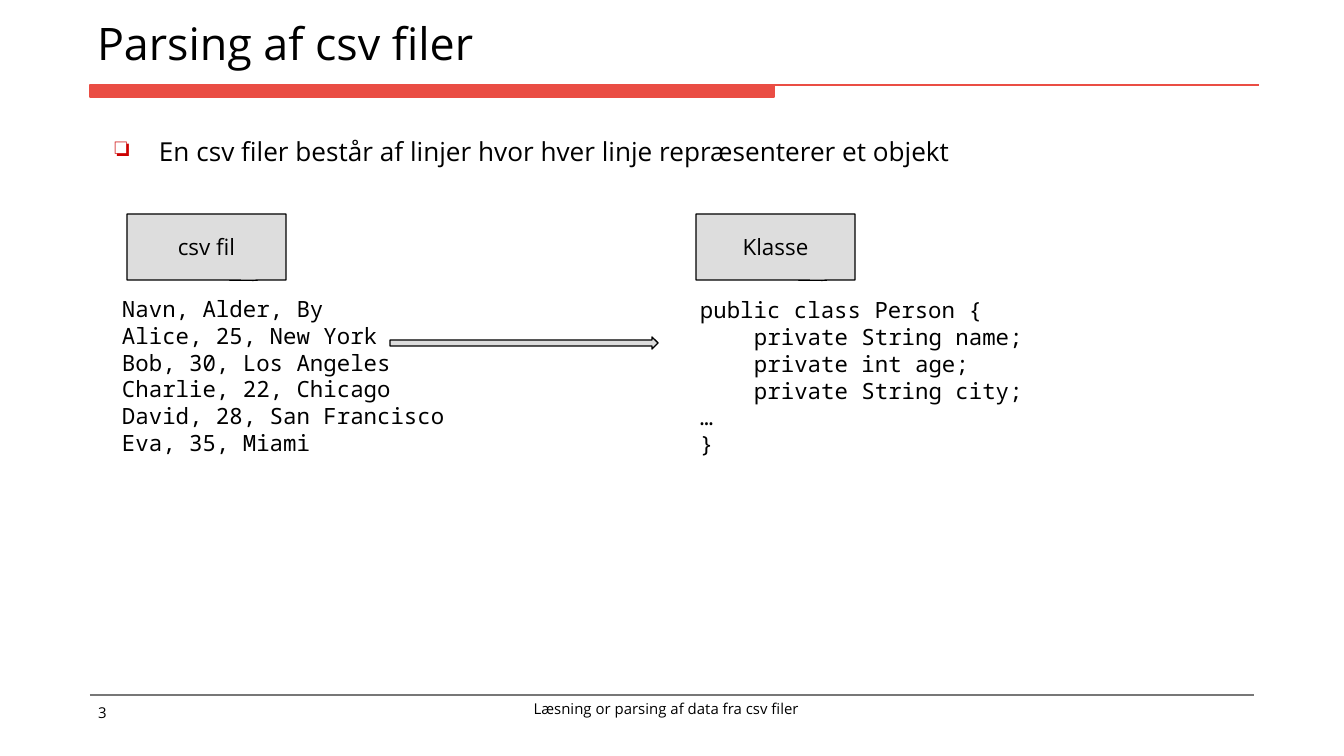
from dataclasses import dataclass

from lxml.etree import SubElement
from pptx import Presentation
from pptx.dml.color import RGBColor
from pptx.enum.shapes import MSO_CONNECTOR as Link, MSO_SHAPE as Shape
from pptx.enum.text import MSO_ANCHOR as Anchor, PP_ALIGN as Align
from pptx.oxml.ns import qn
from pptx.util import Emu, Pt

SCALE = 9144000 / 1344


@dataclass(frozen=True)
class Theme:
    """Colours, fonts and type sizes of the slide."""
    accent: str = "EA4D44"
    bullet: str = "CC0000"
    box: str = "DDDDDD"
    rule: str = "777777"
    ink: str = "000000"
    sans: str = "Open Sans"
    mono: str = "Noto Sans Mono"
    title: int = 24
    body: int = 14
    label: int = 12
    small: int = 8
    stroke: float = 0.75


THEME = Theme()


def px(n):
    """Turn pixels into EMU."""
    return Emu(round(n * SCALE))


def rgb(code):
    """Turn a hex code into a colour."""
    return RGBColor.from_string(code)


def apply(obj, values):
    """Set attributes from a dict of format values."""
    for name, value in values.items():
        setattr(obj, name, value)


def write(s, lines, size, font=THEME.sans, align=Align.LEFT, anchor=Anchor.TOP, bottom=13, top=13):
    """Write one paragraph per line, indenting (text, indent) pairs."""
    tf = s.text_frame
    apply(tf, {"word_wrap": True, "vertical_anchor": anchor,
               "margin_left": px(13), "margin_right": px(13),
               "margin_top": px(top), "margin_bottom": px(bottom)})
    for i, (text, indent) in enumerate(lines):
        p = tf.paragraphs[0] if i == 0 else tf.add_paragraph()
        p.alignment = align
        if indent:
            p._p.get_or_add_pPr().set("marL", str(px(indent)))
        r = p.add_run()
        r.text = text
        apply(r.font, {"name": font, "size": Pt(size)})
        r.font.color.rgb = rgb(THEME.ink)
    return tf


def add_text(slide, box, lines, size, **style):
    """Add a text box."""
    s = slide.shapes.add_textbox(*map(px, box))
    return write(s, lines, size, **style)


def paint(s, fill, line):
    """Set fill and outline and drop the shadow."""
    s.shadow.inherit = False
    s.fill.solid()
    s.fill.fore_color.rgb = rgb(fill)
    s.line.color.rgb = rgb(line)
    s.line.width = Pt(THEME.stroke)


def add_box(slide, kind, box, adjustments):
    """Add a grey preset shape with a black outline."""
    s = slide.shapes.add_shape(kind, *map(px, box))
    for i, value in enumerate(adjustments):
        s.adjustments[i] = value
    paint(s, THEME.box, THEME.ink)
    return s


def add_rule(slide, left, right, y):
    """Add the thin footer rule."""
    c = slide.shapes.add_connector(Link.STRAIGHT, px(left), px(y), px(right), px(y))
    c.line.color.rgb = rgb(THEME.rule)
    c.line.width = Pt(THEME.stroke)
    SubElement(c._element.spPr, qn("a:effectLst"))


def add_title_bar(slide, left, middle, right, top, bottom):
    """Add the thick bar that runs on as a thin line."""
    fb = slide.shapes.build_freeform(left, top, scale=SCALE)
    fb.add_line_segments([(middle, top), (middle, bottom), (left, bottom)], close=True)
    fb.move_to(left, top)
    fb.add_line_segments([(right, top)], close=False)
    paint(fb.convert_to_shape(), THEME.accent, THEME.accent)


def add_bullet(p, char, left, hang):
    """Give a paragraph a coloured hanging bullet."""
    pPr = p._p.get_or_add_pPr()
    pPr.set("marL", str(px(left)))
    pPr.set("indent", str(-px(hang)))
    colour = SubElement(pPr, qn("a:buClr"))
    SubElement(colour, qn("a:srgbClr")).set("val", THEME.bullet)
    SubElement(pPr, qn("a:buChar")).set("char", char)


def add_column(slide, label, label_left, code_box, code):
    """Add a labelled callout with its code below."""
    s = add_box(slide, Shape.RECTANGULAR_CALLOUT, (label_left, 214, 159, 66), (0.295, 0.506))
    write(s, [(label, 0)], THEME.label, align=Align.CENTER, anchor=Anchor.MIDDLE)
    add_text(slide, code_box, code, THEME.label, font=THEME.mono)


def main():
    """Build the slide and save it."""
    prs = Presentation()
    apply(prs, {"slide_width": px(1344), "slide_height": px(756)})
    slide = prs.slides.add_slide(prs.slide_layouts[6])

    add_rule(slide, 90, 1254, 695)
    add_title_bar(slide, 90, 774, 1259, 85, 97)
    add_text(slide, (247, 695, 839, 44), [("Læsning or parsing af data fra csv filer", 0)],
             THEME.small, align=Align.CENTER, anchor=Anchor.MIDDLE, top=0, bottom=16)
    add_text(slide, (84, 16, 1176, 66), [("Parsing af csv filer", 0)],
             THEME.title, anchor=Anchor.BOTTOM)
    tf = add_text(slide, (79, 122, 1150, 93),
                  [("En csv filer består af linjer hvor hver linje repræsenterer et objekt", 0)],
                  THEME.body)
    p = tf.paragraphs[0]
    p.space_before = Pt(3.2)
    add_bullet(p, "❏", 67, 44)
    add_text(slide, (79, 695, 47, 58), [("3", 0)], THEME.small, align=Align.CENTER)

    rows = ["Navn, Alder, By", "Alice, 25, New York", "Bob, 30, Los Angeles",
            "Charlie, 22, Chicago", "David, 28, San Francisco", "Eva, 35, Miami"]
    add_column(slide, "csv fil", 127, (109, 282, 441, 218), [(row, 0) for row in rows])
    fields = ["String name", "int age", "String city"]
    add_column(slide, "Klasse", 696, (687, 283, 441, 190),
               [("public class Person {", 0),
                *((f"private {field};", 54) for field in fields),
                ("…", 0), ("}", 0)])
    add_box(slide, Shape.RIGHT_ARROW, (390, 337, 268, 12), (0.5, 0.5))

    prs.save("out.pptx")


if __name__ == "__main__":
    main()
